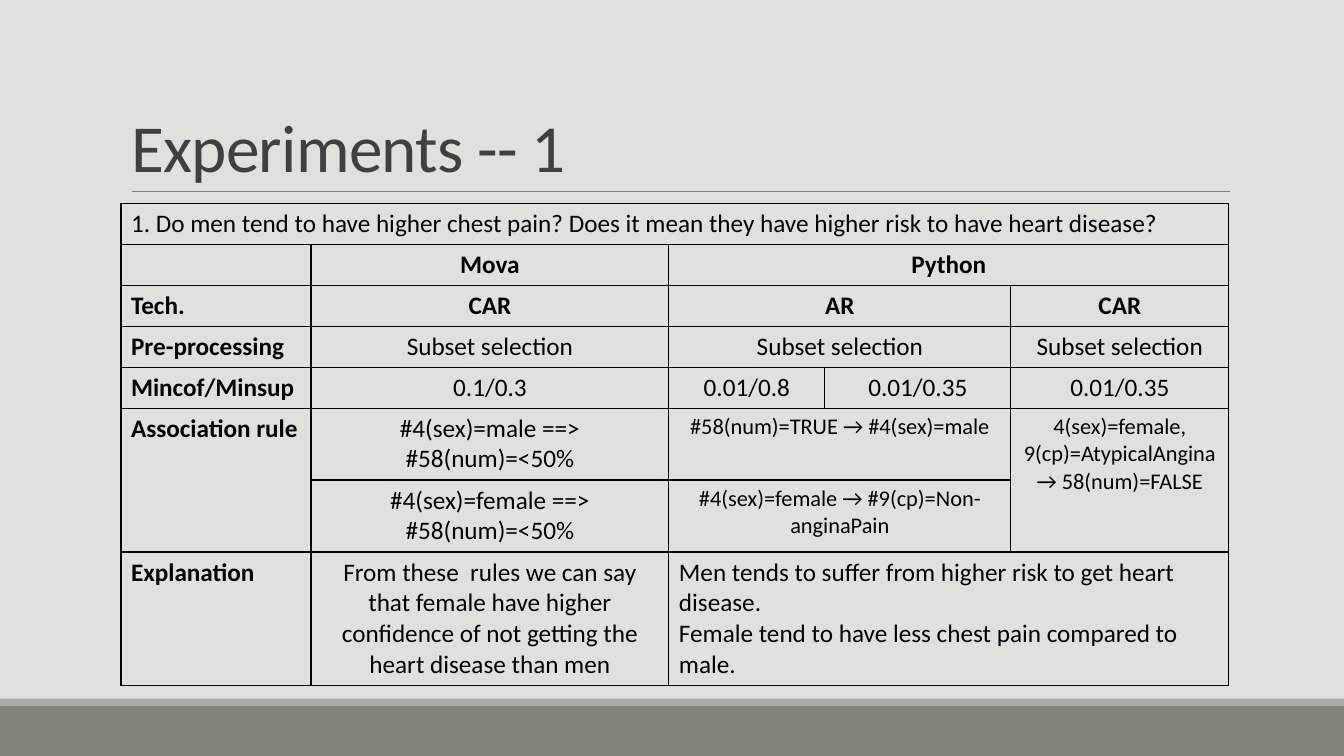
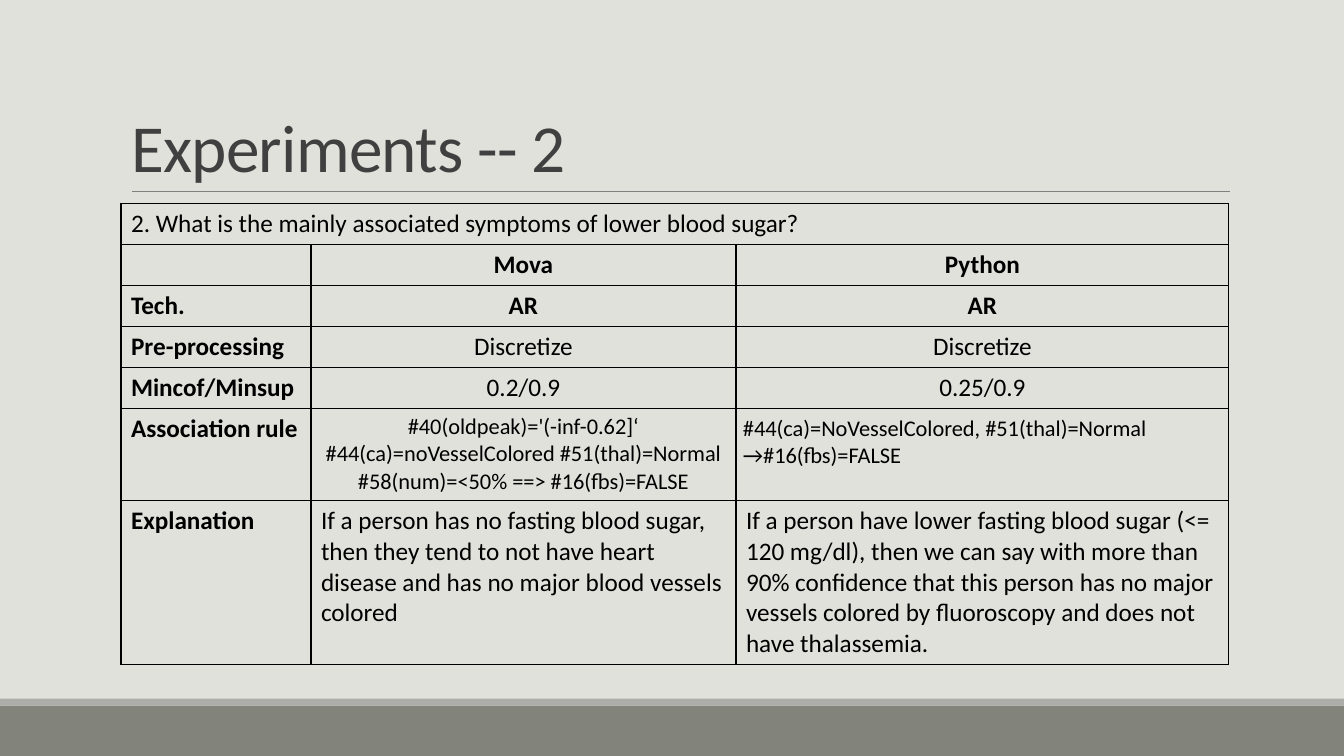
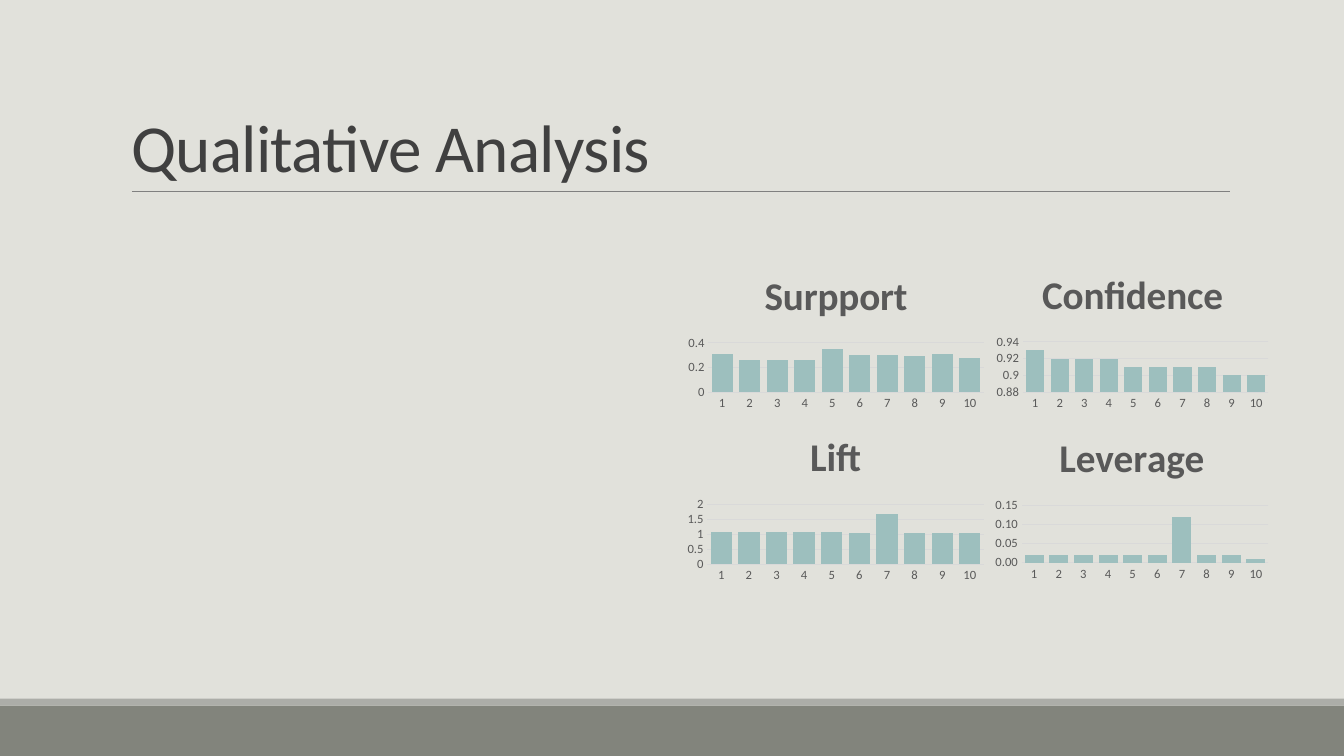
"""Build two experiment tables and a slide of four quality charts."""
from lxml import etree
from pptx import Presentation
from pptx.chart.data import CategoryChartData
from pptx.dml.color import RGBColor
from pptx.enum.chart import XL_CHART_TYPE, XL_TICK_MARK
from pptx.enum.shapes import MSO_CONNECTOR, MSO_SHAPE
from pptx.enum.text import MSO_ANCHOR, MSO_AUTO_SIZE, PP_ALIGN
from pptx.oxml.ns import qn
from pptx.util import Pt

BACKGROUND = RGBColor(0xE1, 0xE1, 0xDB)
BAND = RGBColor(0x82, 0x84, 0x7C)
BAND_EDGE = RGBColor(0xAC, 0xAD, 0xA8)
RULE = RGBColor(0x80, 0x80, 0x80)
TITLE = RGBColor(0x40, 0x40, 0x40)
BLACK = RGBColor(0x00, 0x00, 0x00)
CHART_TEXT = RGBColor(0x59, 0x59, 0x59)
GRID = RGBColor(0xD9, 0xD9, 0xD9)
BAR = RGBColor(0x9D, 0xBF, 0xBE)

RECTANGLE = MSO_SHAPE.RECTANGLE
STRAIGHT = MSO_CONNECTOR.STRAIGHT
COLUMNS = XL_CHART_TYPE.COLUMN_CLUSTERED
NO_TICK = XL_TICK_MARK.NONE
LEFT, CENTER = PP_ALIGN.LEFT, PP_ALIGN.CENTER
BOTTOM = MSO_ANCHOR.BOTTOM
NO_AUTOFIT = MSO_AUTO_SIZE.NONE

FONT = "Calibri"
SLIDE_WIDTH, SLIDE_HEIGHT = 960, 540
ROW = 29.25

presentation = Presentation()
presentation.slide_width = Pt(SLIDE_WIDTH)
presentation.slide_height = Pt(SLIDE_HEIGHT)
background = presentation.slide_master.background.fill
background.solid()
background.fore_color.rgb = BACKGROUND


def format_font(font, size, color, bold=False):
    for name, value in {"name": FONT, "size": Pt(size), "bold": bold}.items():
        setattr(font, name, value)
    font.color.rgb = color


def add_titled_slide(text):
    slide = presentation.slides.add_slide(presentation.slide_layouts[5])
    for top, height, color in ((504, 36, BAND), (499, 5, BAND_EDGE)):
        band = slide.shapes.add_shape(RECTANGLE, 0, Pt(top), Pt(SLIDE_WIDTH), Pt(height))
        band.shadow.inherit = False
        band.fill.solid()
        band.fill.fore_color.rgb = color
        band.line.fill.background()
    rule = slide.shapes.add_connector(STRAIGHT, Pt(94.3), Pt(136.8), Pt(878.6), Pt(136.8))
    rule.line.color.rgb = RULE
    rule.line.width = Pt(0.5)
    etree.SubElement(rule._element.spPr, qn("a:effectLst"))

    title = slide.shapes.title
    place = {"left": 86.4, "top": 22.3, "width": 792, "height": 114.5}
    for name, value in place.items():
        setattr(title, name, Pt(value))
    frame = title.text_frame
    frame.text = text
    settings = {"vertical_anchor": BOTTOM, "auto_size": NO_AUTOFIT, "word_wrap": True}
    for name, value in settings.items():
        setattr(frame, name, value)
    paragraph = frame.paragraphs[0]
    paragraph.alignment = LEFT
    paragraph.line_spacing = 0.85
    run = paragraph.runs[0]
    format_font(run.font, 48, TITLE)
    run._r.get_or_add_rPr().set("spc", "-50")
    return slide


experiments = [
    {
        "title": "Experiments -- 1",
        "widths": [135.7, 255.7, 111.4, 132.9, 155.7],
        "heights": [ROW] * 5 + [51.4, 51.4, 95],
        "rows": [
            ["1. Do men tend to have higher chest pain? Does it mean they have "
             "higher risk to have heart disease?", "", "", "", ""],
            ["", "Mova", "Python", "", ""],
            ["Tech.", "CAR", "AR", "", "CAR"],
            ["Pre-processing", "Subset selection", "Subset selection", "", "Subset selection"],
            ["Mincof/Minsup", "0.1/0.3", "0.01/0.8", "0.01/0.35", "0.01/0.35"],
            ["Association rule", "#4(sex)=male ==> #58(num)=<50%",
             "#58(num)=TRUE → #4(sex)=male", "",
             "4(sex)=female, 9(cp)=AtypicalAngina → 58(num)=FALSE"],
            ["", "#4(sex)=female ==> #58(num)=<50%",
             "#4(sex)=female → #9(cp)=Non-anginaPain", "", ""],
            ["Explanation",
             "From these  rules we can say that female have higher confidence of "
             "not getting the heart disease than men",
             "Men tends to suffer from higher risk to get heart disease.\n"
             "Female tend to have less chest pain compared to male.", "", ""],
        ],
        "merges": [(0, 0, 0, 4), (1, 2, 1, 4), (2, 2, 2, 3), (3, 2, 3, 3), (5, 0, 6, 0),
                   (5, 2, 5, 3), (5, 4, 6, 4), (6, 2, 6, 3), (7, 2, 7, 4)],
        "small": {(5, 2), (5, 4), (6, 2)},
        "left": {(7, 2)},
        "tight": set(),
    },
    {
        "title": "Experiments -- 2",
        "widths": [135.7, 303.6, 352.1],
        "heights": [ROW] * 5 + [66, 116.8],
        "rows": [
            ["2. What is the mainly associated symptoms of lower blood sugar?", "", ""],
            ["", "Mova", "Python"],
            ["Tech.", "AR", "AR"],
            ["Pre-processing", "Discretize", "Discretize"],
            ["Mincof/Minsup", "0.2/0.9", "0.25/0.9"],
            ["Association rule",
             "#40(oldpeak)='(-inf-0.62]‘ #44(ca)=noVesselColored #51(thal)=Normal "
             "#58(num)=<50% ==> #16(fbs)=FALSE",
             "#44(ca)=NoVesselColored, #51(thal)=Normal →#16(fbs)=FALSE"],
            ["Explanation",
             "If a person has no fasting blood sugar, then they tend to not have heart "
             "disease and has no major blood vessels colored",
             "If a person have lower fasting blood sugar (<= 120 mg/dl), then we can say "
             "with more than 90% confidence that this person has no major vessels colored "
             "by fluoroscopy and does not have thalassemia."],
        ],
        "merges": [(0, 0, 0, 2)],
        "small": {(5, 1), (5, 2)},
        "left": {(5, 2), (6, 1), (6, 2)},
        "tight": {(5, 2)},
    },
]

for experiment in experiments:
    slide = add_titled_slide(experiment["title"])
    widths, heights = experiment["widths"], experiment["heights"]
    table = slide.shapes.add_table(
        len(heights), len(widths), Pt(86.4), Pt(145.4), Pt(sum(widths)), Pt(sum(heights))
    ).table
    table.first_row = False
    table.horz_banding = False
    for column, width in zip(table.columns, widths):
        column.width = Pt(width)
    for row, height in zip(table.rows, heights):
        row.height = Pt(height)

    for i, texts in enumerate(experiment["rows"]):
        for j, text in enumerate(texts):
            cell = table.cell(i, j)
            properties = cell._tc.get_or_add_tcPr()
            for side in ("a:lnL", "a:lnR", "a:lnT", "a:lnB"):
                border = etree.SubElement(properties, qn(side), w=str(Pt(1)))
                solid = etree.SubElement(border, qn("a:solidFill"))
                etree.SubElement(solid, qn("a:srgbClr"), val=str(BLACK))
            cell.fill.background()
            if (i, j) in experiment["tight"]:
                for side in ("left", "right", "top", "bottom"):
                    setattr(cell, f"margin_{side}", Pt(5))
            if not text:
                continue
            cell.text_frame.text = text
            centered = i > 0 and j > 0 and (i, j) not in experiment["left"]
            bold = i in (1, 2) or (i > 0 and j == 0)
            size = 16 if (i, j) in experiment["small"] else 18
            for paragraph in cell.text_frame.paragraphs:
                paragraph.alignment = CENTER if centered else LEFT
                format_font(paragraph.runs[0].font, size, BLACK, bold)

    for top, left, bottom, right in experiment["merges"]:
        table.cell(top, left).merge(table.cell(bottom, right))

charts = [
    {"title": "Surpport", "place": (487.4, 180.7, 219.6, 115.2), "gap": 30, "overlap": -27,
     "scale": (0, 0.4, 0.2), "format": "General",
     "values": [0.31, 0.26, 0.26, 0.26, 0.35, 0.3, 0.3, 0.29, 0.31, 0.28]},
    {"title": "Confidence", "place": (707.8, 180, 202.3, 115.9), "gap": 35, "overlap": -7,
     "scale": (0.88, 0.94, 0.02), "format": "General",
     "values": [0.93, 0.92, 0.92, 0.92, 0.91, 0.91, 0.91, 0.91, 0.9, 0.9]},
    {"title": "Lift", "place": (486.7, 295.9, 220.3, 123.1), "gap": 30, "overlap": -27,
     "scale": (0, 2, 0.5), "format": "General",
     "values": [1.09, 1.07, 1.07, 1.07, 1.07, 1.06, 1.69, 1.06, 1.05, 1.05]},
    {"title": "Leverage", "place": (707, 296.6, 203, 121), "gap": 30, "overlap": -27,
     "scale": (0, 0.15, 0.05), "format": "0.00",
     "values": [0.02, 0.02, 0.02, 0.02, 0.02, 0.02, 0.12, 0.02, 0.02, 0.01]},
]

slide = add_titled_slide("Qualitative Analysis")
for details in charts:
    data = CategoryChartData()
    data.categories = [str(number) for number in range(1, 11)]
    data.add_series(details["title"], details["values"])
    place = [Pt(length) for length in details["place"]]
    chart = slide.shapes.add_chart(COLUMNS, *place, data).chart
    format_font(chart.font, 10, BLACK)
    chart.has_legend = False
    chart.has_title = True
    chart.chart_title.text_frame.text = details["title"]
    title_run = chart.chart_title.text_frame.paragraphs[0].runs[0]
    format_font(title_run.font, 28, CHART_TEXT, True)

    plot = chart.plots[0]
    plot.vary_by_categories = False
    plot.gap_width = details["gap"]
    plot.overlap = details["overlap"]
    bars = plot.series[0].format.fill
    bars.solid()
    bars.fore_color.rgb = BAR

    value_axis = chart.value_axis
    for axis in (chart.category_axis, value_axis):
        axis.major_tick_mark = NO_TICK
        axis.minor_tick_mark = NO_TICK
        format_font(axis.tick_labels.font, 9, CHART_TEXT)
    for name, value in zip(("minimum_scale", "maximum_scale", "major_unit"), details["scale"]):
        setattr(value_axis, name, value)
    value_axis.tick_labels.number_format = details["format"]
    value_axis.tick_labels.number_format_is_linked = False
    value_axis.format.line.fill.background()
    value_axis.has_major_gridlines = True
    for line in (chart.category_axis.format.line, value_axis.major_gridlines.format.line):
        line.color.rgb = GRID
        line.width = Pt(0.75)

presentation.save("out.pptx")
